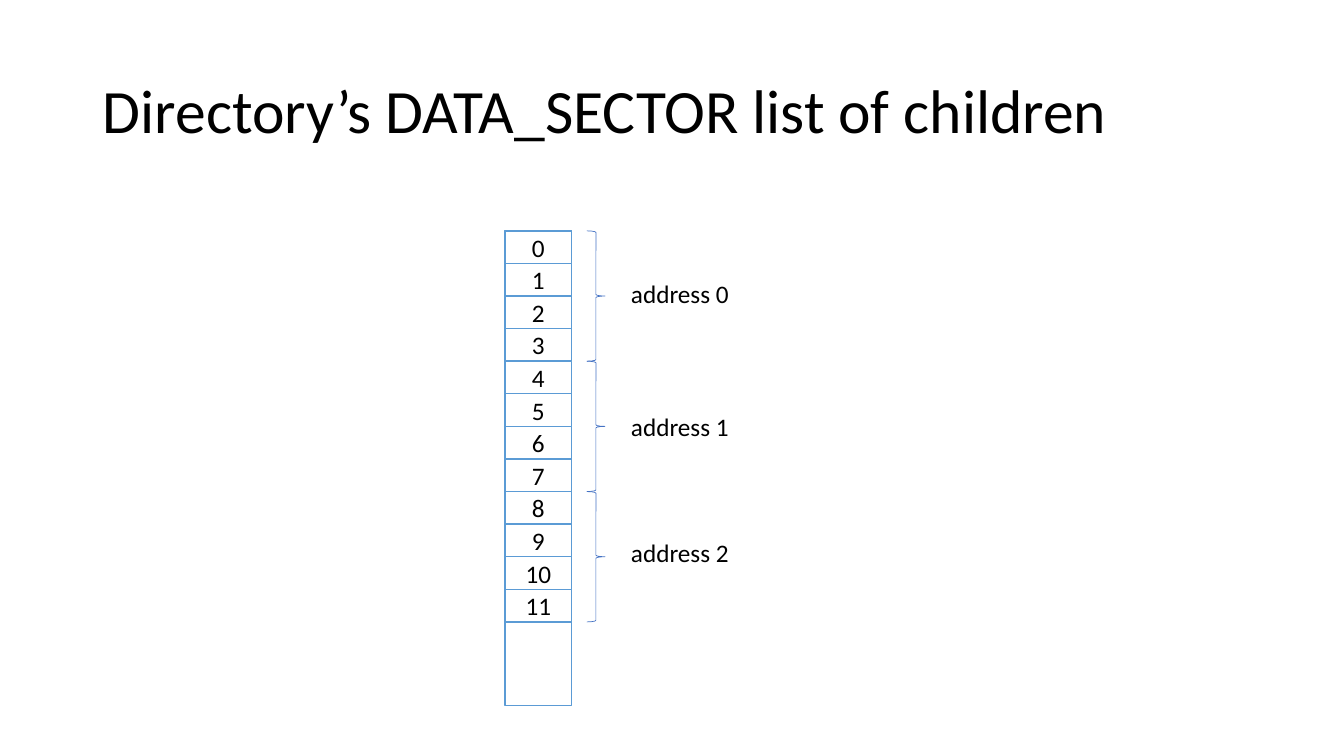
from pptx import Presentation
from pptx.dml.color import RGBColor
from pptx.enum.shapes import MSO_SHAPE
from pptx.enum.text import MSO_ANCHOR, MSO_AUTO_SIZE, PP_ALIGN
from pptx.util import Inches, Pt

RECT, BRACE = MSO_SHAPE.RECTANGLE, MSO_SHAPE.RIGHT_BRACE
MIDDLE = MSO_ANCHOR.MIDDLE
LEFT, CENTER = PP_ALIGN.LEFT, PP_ALIGN.CENTER
FIT_SHAPE, FIT_NONE = MSO_AUTO_SIZE.SHAPE_TO_FIT_TEXT, MSO_AUTO_SIZE.NONE

FONT = "Calibri"
COLORS = {"text": "000000", "cell": "FFFFFF", "border": "5B9BD5", "brace": "4472C4"}

# Grid of the sector list, in inches
TOP, ROWS, ROWS_PER_ADDRESS = 2.29, 12, 4
ROW_H = 3.88 / ROWS
CELL_X, CELL_W, LIST_H = 5.01, 0.66, 4.71
BRACE_X, BRACE_W = 5.82, 0.18
LABEL_X, LABEL_W, LABEL_H = 6.16, 1.18, 0.4
LABEL_TOPS = (2.71, 4.03, 5.28)


def color(name):
    return RGBColor.from_string(COLORS[name])


def box(x, y, w, h):
    return [Inches(v) for v in (x, y, w, h)]


def write(tf, text, size, align):
    p = tf.paragraphs[0]
    p.alignment = align
    r = p.add_run()
    r.text = text
    r.font.name, r.font.size = FONT, Pt(size)
    r.font.color.rgb = color("text")
    return p


def add_title(s, text):
    sp = s.shapes.title
    sp.left, sp.top, sp.width, sp.height = box(0.92, 0.4, 11.5, 1.45)
    tf = sp.text_frame
    tf.word_wrap, tf.auto_size, tf.vertical_anchor = True, FIT_NONE, MIDDLE
    write(tf, text, 44, LEFT).line_spacing = 0.9


def add_cell(s, y, h, text=None):
    sp = s.shapes.add_shape(RECT, *box(CELL_X, y, CELL_W, h))
    sp.shadow.inherit = False
    sp.fill.solid()
    sp.fill.fore_color.rgb = color("cell")
    sp.line.color.rgb = color("border")
    sp.line.width = Pt(1)
    if text is not None:
        sp.text_frame.vertical_anchor = MIDDLE
        write(sp.text_frame, text, 18, CENTER)


def add_brace(s, y, h):
    sp = s.shapes.add_shape(BRACE, *box(BRACE_X, y, BRACE_W, h))
    sp.shadow.inherit = False
    sp.fill.background()
    sp.line.color.rgb = color("brace")
    sp.line.width = Pt(0.5)


def add_label(s, y, text):
    sp = s.shapes.add_textbox(*box(LABEL_X, y, LABEL_W, LABEL_H))
    tf = sp.text_frame
    tf.word_wrap, tf.auto_size = False, FIT_SHAPE
    write(tf, text, 18, LEFT)


def main():
    prs = Presentation()
    prs.slide_width, prs.slide_height = Inches(13.33), Inches(7.5)
    s = prs.slides.add_slide(prs.slide_layouts[5])
    add_title(s, "Directory’s DATA_SECTOR list of children")

    # Whole sector, then its numbered entries
    add_cell(s, TOP, LIST_H)
    for row in range(ROWS):
        add_cell(s, TOP + row * ROW_H, ROW_H, str(row))

    # One brace and label for each address
    group_h = ROWS_PER_ADDRESS * ROW_H
    for i, label_top in enumerate(LABEL_TOPS):
        add_brace(s, TOP + i * group_h, group_h)
        add_label(s, label_top, f"address {i}")

    prs.save("out.pptx")


if __name__ == "__main__":
    main()
